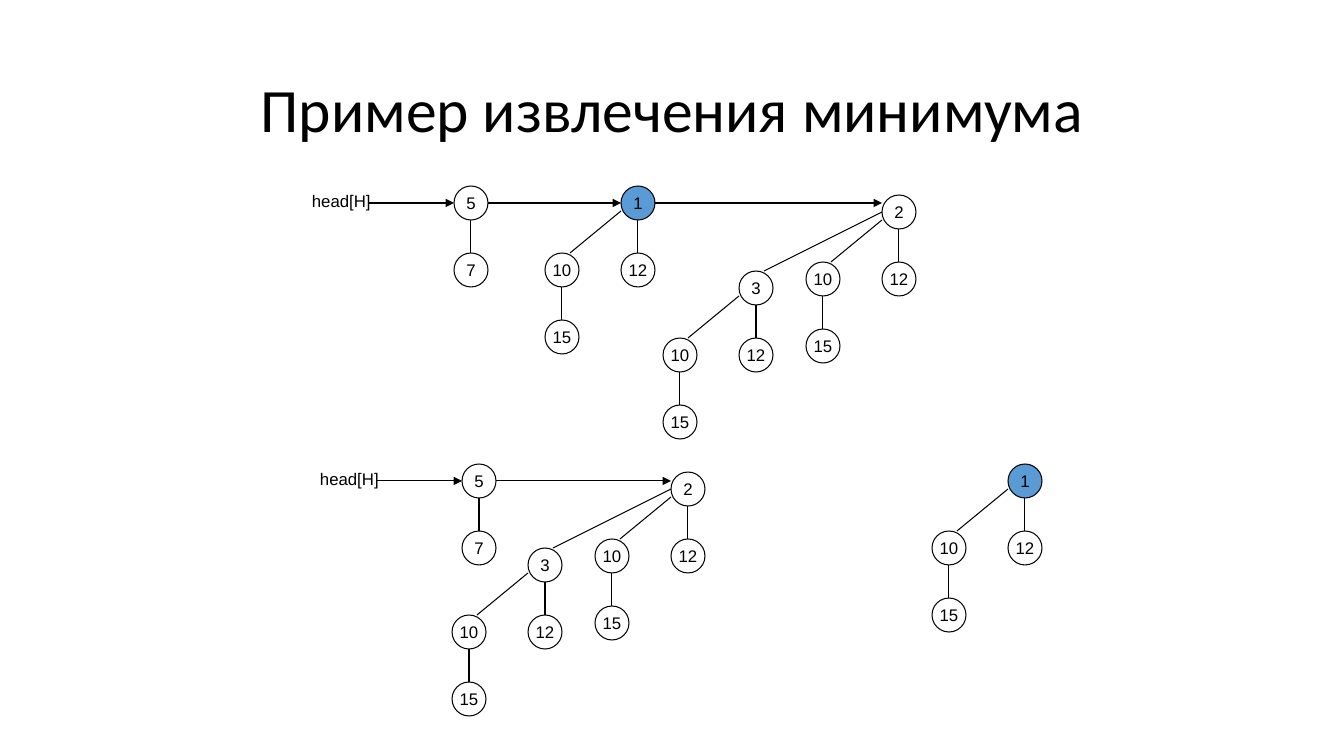
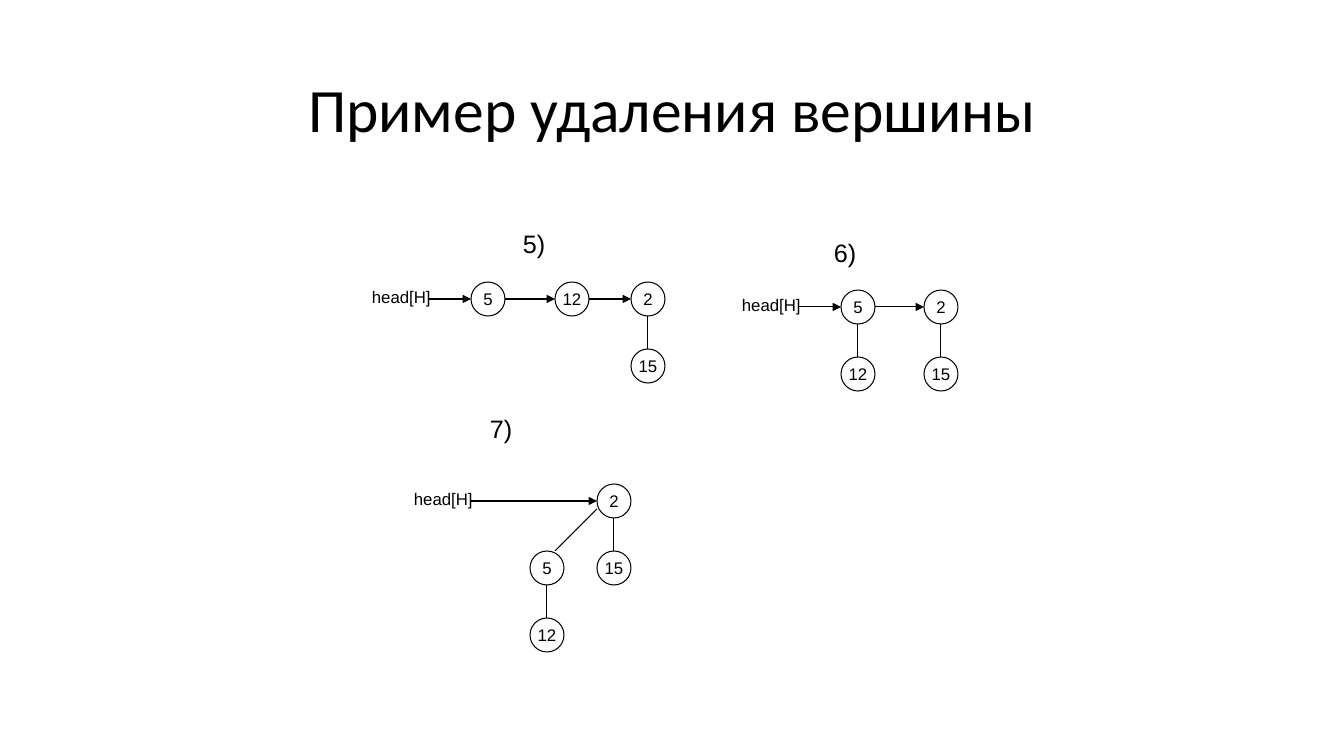
from dataclasses import dataclass

from pptx import Presentation, util as u
from pptx.dml import color
from pptx.enum import shapes, text
from pptx.oxml import ns, xmlchemy as xml

# Shared measures (pixels), colours and formats
SCALE = 914400 / 100.8
WIDE, HIGH = 1344, 756
SIZE, STEP = 34, 67
MID, LOW = 17, 25  # middle and lower quarter of a node
HEAD = 67  # from the head label to the start of its arrow

INK = {"text": "000000", "line": "000000", "root": "5B9BD5"}
FONT = {
    "title": {"name": "Calibri", "size": u.Pt(44)},
    "step": {"name": "Arial", "size": u.Pt(18)},
    "node": {"name": "Arial", "size": u.Pt(12)},
}
FRAME = {
    "title": {"word_wrap": True, "vertical_anchor": text.MSO_ANCHOR.MIDDLE},
    "step": {"word_wrap": True, "vertical_anchor": text.MSO_ANCHOR.TOP},
    "label": {"word_wrap": True, "vertical_anchor": text.MSO_ANCHOR.TOP},
    "node": {"word_wrap": False, "vertical_anchor": text.MSO_ANCHOR.MIDDLE},
}
PARA = {
    "title": {"alignment": text.PP_ALIGN.CENTER, "line_spacing": 0.9},
    "node": {"alignment": text.PP_ALIGN.CENTER},
}


@dataclass(frozen=True)
class Tree:
    key: str
    kids: "tuple[Tree, ...]" = ()
    dx: int = 0  # offset from the parent
    dy: int = STEP
    port: int = LOW  # height at which a slanted edge meets the parent
    fill: str = ""


@dataclass(frozen=True)
class Root:
    tree: Tree
    x: int
    y: int


@dataclass(frozen=True)
class Heap:
    x: int
    y: int
    roots: tuple[Root, ...]


@dataclass(frozen=True)
class Step:
    name: str
    x: int
    y: int


@dataclass(frozen=True)
class Page:
    title: str
    heaps: tuple[Heap, ...]
    loose: tuple[Root, ...] = ()
    steps: tuple[Step, ...] = ()


def px(*vals: int) -> list[int]:
    return [u.Emu(round(val * SCALE)) for val in vals]


def rgb(name: str) -> color.RGBColor:
    return color.RGBColor.from_string(INK[name])


def style(obj, vals: dict) -> None:
    for name, val in vals.items():
        setattr(obj, name, val)


def write(shape, words: str, kind: str) -> None:
    frame = shape.text_frame
    style(frame, FRAME[kind])
    para = frame.paragraphs[0]
    style(para, PARA.get(kind, {}))
    run = para.add_run()
    run.text = words
    style(run.font, FONT.get(kind, FONT["node"]))
    run.font.color.rgb = rgb("text")


def label(slide, words: str, kind: str, *box: int) -> None:
    write(slide.shapes.add_textbox(*px(*box)), words, kind)


def pen(line) -> None:
    line.color.rgb = rgb("line")
    line.width = u.Pt(0.75)


def link(slide, x1: int, y1: int, x2: int, y2: int, arrow: bool = False) -> None:
    kind = shapes.MSO_CONNECTOR.STRAIGHT
    edge = slide.shapes.add_connector(kind, *px(x1, y1, x2, y2))
    pen(edge.line)
    props = edge._element.find(ns.qn("p:spPr"))
    if arrow:
        tail = xml.OxmlElement("a:tailEnd")
        tail.set("type", "triangle")
        props.find(ns.qn("a:ln")).append(tail)
    props.append(xml.OxmlElement("a:effectLst"))


def plant(slide, tree: Tree, x: int, y: int) -> None:
    """Draw a node, then its children and the edges to them."""
    node = slide.shapes.add_shape(shapes.MSO_SHAPE.OVAL, *px(x, y, SIZE, SIZE))
    node.shadow.inherit = False
    if tree.fill:
        node.fill.solid()
        node.fill.fore_color.rgb = rgb(tree.fill)
    else:
        node.fill.background()
    pen(node.line)
    write(node, tree.key, "node")
    for kid in tree.kids:
        left, top = x + kid.dx, y + kid.dy
        if kid.dx:
            link(slide, left + LOW, top, x, y + kid.port)
        else:
            link(slide, x + MID, y + SIZE, left + MID, top)
        plant(slide, kid, left, top)


def chain(slide, heap: Heap) -> None:
    """Draw the head label and the list of roots at its height."""
    label(slide, "head[H]", "label", heap.x, heap.y, 84, 30)
    start, level = heap.x + HEAD, heap.y + MID
    for root in heap.roots:
        link(slide, start, level, root.x, level, arrow=True)
        plant(slide, root.tree, root.x, root.y)
        start = root.x + SIZE


def draw(deck, page: Page) -> None:
    slide = deck.slides.add_slide(deck.slide_layouts[6])
    label(slide, page.title, "title", 93, 40, 1159, 146)
    for heap in page.heaps:
        chain(slide, heap)
    for root in page.loose:
        plant(slide, root.tree, root.x, root.y)
    for step in page.steps:
        label(slide, step.name, "step", step.x, step.y, 67, 40)


# Trees
SIDE = (Tree("12"), Tree("10", (Tree("15"),), dx=-76))
FIVE = Tree("5", (Tree("7"),))
ONE = Tree("1", SIDE, fill="root")
THREE = Tree("3", SIDE, dx=-143, dy=76, port=MID)
TWO = Tree("2", SIDE + (THREE,))
PAIR = Tree("2", (Tree("15"),))
LEFT = Tree("5", (Tree("12"),), dx=-STEP)
FULL = Tree("2", PAIR.kids + (LEFT,))

# Slides
PAGES = (
    Page(
        "Пример извлечения минимума",
        heaps=(
            Heap(302, 186, (Root(FIVE, 454, 186), Root(ONE, 621, 186),
                            Root(TWO, 882, 195))),
            Heap(310, 464, (Root(FIVE, 462, 464), Root(TWO, 671, 472))),
        ),
        loose=(Root(ONE, 1008, 464),),
    ),
    Page(
        "Пример удаления вершины",
        heaps=(
            Heap(362, 282, (Root(Tree("5"), 471, 282), Root(Tree("12"), 555, 282),
                            Root(PAIR, 631, 282))),
            Heap(732, 290, (Root(LEFT, 841, 290), Root(PAIR, 924, 290))),
            Heap(404, 484, (Root(FULL, 597, 484),)),
        ),
        steps=(Step("5)", 513, 223), Step("6)", 824, 232), Step("7)", 480, 408)),
    ),
)

deck = Presentation()
deck.slide_width, deck.slide_height = px(WIDE, HIGH)
for page in PAGES:
    draw(deck, page)
deck.save("out.pptx")
